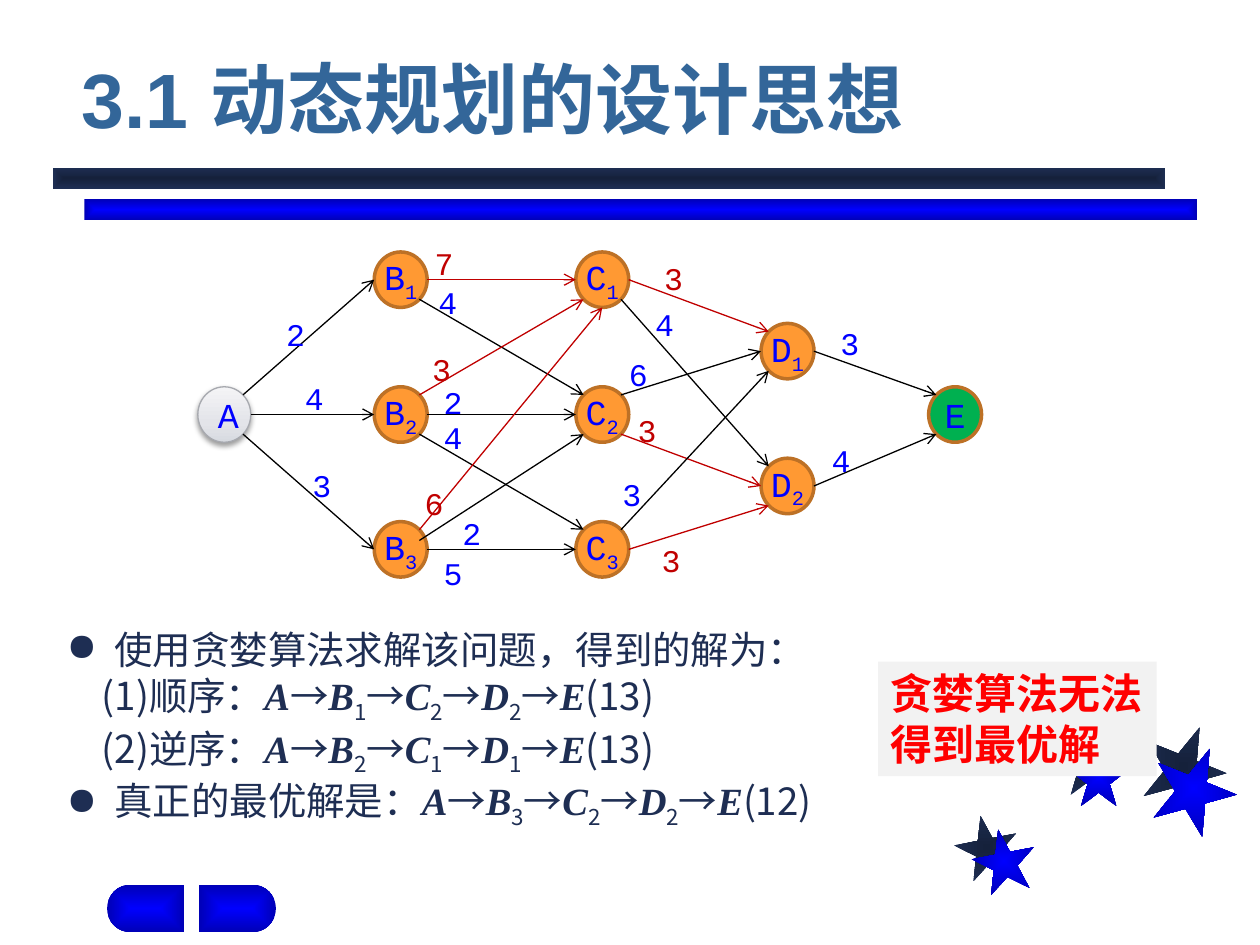
from dataclasses import dataclass
from math import cos, pi, sin

from lxml.etree import SubElement
from pptx import Presentation
from pptx.dml.color import RGBColor
from pptx.enum.shapes import MSO_CONNECTOR, MSO_SHAPE
from pptx.enum.text import MSO_ANCHOR, PP_ALIGN
from pptx.oxml.ns import qn
from pptx.util import Inches, Pt

COLORS = {
    "title": "336699", "ink": "1E2E53", "ink_dark": "15213B",
    "blue": "0000FF", "blue_dark": "0000B6", "orange": "FF9933",
    "rim": "BD7126", "green": "00B050", "red": "C00000", "black": "000000",
    "alert": "FF0000", "panel": "F2F2F2", "gray_rim": "A7A9AF",
    "gray_low": "D7DAE0", "gray_middle": "E3E4E9", "gray_high": "F4F4F6",
}
INK_STOPS = ((0, "ink_dark"), (100, "ink"))
BLUE_STOPS = ((0, "blue"), (100, "blue_dark"))
GRAY_STOPS = ((0, "gray_low"), (35, "gray_middle"), (100, "gray_high"))
HAN = "Noto Sans CJK SC"
SERIF = "Times New Roman"
MONO = "Courier New"

deck = Presentation()
deck.slide_width, deck.slide_height = Inches(10), Inches(7.5)
page = deck.slides.add_slide(deck.slide_layouts[6])
COLUMN = deck.slide_width / 100
ROW = deck.slide_height / 75

NODE_WIDTH, NODE_HEIGHT = 4.2, 4.4
GRAPH_TOP, GRAPH_STEP = 22.2, 10.7
STAGES = {"A": 17.8, "B": 31.8, "C": 47.8, "D": 62.5, "E": 75.8}
DIAGONAL = cos(pi / 4)
PORTS = {
    "E": (1, 0), "W": (-1, 0), "S": (0, 1),
    "NE": (DIAGONAL, -DIAGONAL), "SE": (DIAGONAL, DIAGONAL),
    "NW": (-DIAGONAL, -DIAGONAL), "SW": (-DIAGONAL, DIAGONAL),
    "ENE": (DIAGONAL, -0.32),
}


@dataclass
class Node:
    stage: str
    number: str
    level: float
    fill: str = "orange"

    def port(self, side: str) -> tuple[float, float]:
        across, down = PORTS[side]
        return (STAGES[self.stage] + across * NODE_WIDTH / 2,
                GRAPH_TOP + self.level * GRAPH_STEP + down * NODE_HEIGHT / 2)


@dataclass
class Edge:
    start: str
    leave: str
    end: str
    enter: str
    weight: str
    label: tuple[float, float]
    color: str = "black"


@dataclass
class Star:
    left: float
    top: float
    size: float
    turn: float
    stops: tuple


@dataclass
class Line:
    lead: str
    route: str = ""
    cost: str = ""
    bullet: bool = False


def rgb(name: str) -> RGBColor:
    return RGBColor.from_string(COLORS[name])


def place(left: float, top: float, width: float, height: float) -> tuple:
    return (round(left * COLUMN), round(top * ROW),
            round(width * COLUMN), round(height * ROW))


def child(parent, tag: str, **values):
    return SubElement(parent, qn(tag), {key: str(value) for key, value in values.items()})


def fill_gradient(shape, stops: tuple, kind: str = "") -> None:
    shape.fill.background()
    properties = shape._element.spPr
    gradient = child(properties, "a:gradFill", rotWithShape=1)
    stop_list = child(gradient, "a:gsLst")
    for position, color in stops:
        stop = child(stop_list, "a:gs", pos=position * 1000)
        child(stop, "a:srgbClr", val=COLORS[color])
    if kind:
        center = child(gradient, "a:path", path=kind)
        child(center, "a:fillToRect", l=50000, t=50000, r=50000, b=50000)
    else:
        child(gradient, "a:lin", ang=270 * 60000, scaled=0)
    properties.replace(properties.find(qn("a:noFill")), gradient)


def add_shape(kind, left: float, top: float, width: float, height: float):
    shape = page.shapes.add_shape(kind, *place(left, top, width, height))
    shape.shadow.inherit = False
    shape.line.fill.background()
    return shape


def add_span(para, text: str, color: str, face: str, size: float, baseline: int = 0, **style):
    span = para.add_run()
    span.text = text
    for name, value in {"name": face, "size": Pt(size), **style}.items():
        setattr(span.font, name, value)
    span.font.color.rgb = rgb(color)
    properties = span.font._element
    child(properties, "a:ea", typeface=HAN)
    if baseline:
        properties.set("baseline", str(baseline * 1000))


def set_frame(shape, inset: tuple = (0.1, 0.05), **style):
    frame = shape.text_frame
    across, down = (Inches(value) for value in inset)
    values = {"margin_left": across, "margin_right": across, "margin_top": down,
              "margin_bottom": down, "word_wrap": True, **style}
    for name, value in values.items():
        setattr(frame, name, value)
    return frame


def add_text_box(area: tuple, **style):
    return set_frame(page.shapes.add_textbox(*place(*area)), **style)


def draw_star(star: Star) -> None:
    shape = add_shape(MSO_SHAPE.STAR_5_POINT, star.left, star.top, star.size, star.size)
    shape.rotation = star.turn
    fill_gradient(shape, star.stops, "shape")


def draw_half_pill(flat: float, direction: int) -> None:
    top, radius, length = 70.2, 1.9, 6.1
    arc_center = flat + direction * (length - radius)
    angles = [-pi / 2 + pi * step / 16 for step in range(17)]
    points = [(arc_center + direction * radius * cos(angle), top + radius + radius * sin(angle))
              for angle in angles] + [(flat, top + 2 * radius)]
    outline = page.shapes.build_freeform(round(flat * COLUMN), round(top * ROW))
    outline.add_line_segments([(round(x * COLUMN), round(y * ROW)) for x, y in points])
    shape = outline.convert_to_shape()
    shape.shadow.inherit = False
    shape.line.fill.background()
    fill_gradient(shape, BLUE_STOPS, "rect")


def draw_node(node: Node) -> None:
    left, top = node.port("W")[0], node.port("S")[1] - NODE_HEIGHT
    shape = add_shape(MSO_SHAPE.OVAL, left, top, NODE_WIDTH, NODE_HEIGHT)
    is_source = node.fill == "gray"
    shape.line.color.rgb = rgb("gray_rim" if is_source else "rim")
    shape.line.width = Pt(0.75 if is_source else 2)
    if is_source:
        fill_gradient(shape, GRAY_STOPS)
        effects = shape._element.spPr.find(qn("a:effectLst"))
        shadow = child(effects, "a:outerShdw", blurRad=Pt(3.1), dist=Pt(1.6),
                       dir=90 * 60000, rotWithShape=0)
        child(child(shadow, "a:srgbClr", val=COLORS["black"]), "a:alpha", val=38000)
    else:
        shape.fill.solid()
        shape.fill.fore_color.rgb = rgb(node.fill)
    frame = set_frame(shape, (0.1 if is_source else 0, 0.05), vertical_anchor=MSO_ANCHOR.MIDDLE)
    para = frame.paragraphs[0]
    para.alignment = PP_ALIGN.CENTER
    add_span(para, node.stage, "blue", MONO, 20)
    if node.number:
        add_span(para, node.number, "blue", MONO, 20, -25)


def draw_edge(edge: Edge, nodes: dict[str, Node]) -> None:
    ends = (*nodes[edge.start].port(edge.leave), *nodes[edge.end].port(edge.enter))
    arrow = page.shapes.add_connector(MSO_CONNECTOR.STRAIGHT, *place(*ends))
    arrow.line.color.rgb = rgb(edge.color)
    arrow.line.width = Pt(0.75)
    child(arrow.line._get_or_add_ln(), "a:tailEnd", type="arrow")
    child(arrow._element.spPr, "a:effectLst")
    frame = add_text_box((*edge.label, 2.1, 3), inset=(0, 0))
    add_span(frame.paragraphs[0], edge.weight,
             "red" if edge.color == "red" else "blue", MONO, 18)


def write_line(para, line: Line) -> None:
    para.line_spacing = Pt(30)
    properties = para._p.get_or_add_pPr()
    properties.set("marL", str(Inches(0.38 if line.bullet else 0.28)))
    properties.set("indent", str(Inches(-0.38 if line.bullet else 0)))
    if line.bullet:
        child(properties, "a:buChar", char="●")
    add_span(para, line.lead, "ink", HAN, 22)
    for symbol in line.route:
        if symbol.isalpha():
            add_span(para, symbol, "ink", SERIF, 22, bold=True, italic=True)
        else:
            add_span(para, symbol, "ink", HAN, 22, -25 if symbol.isdigit() else 0)
    if line.cost:
        add_span(para, line.cost, "ink", HAN, 22)


STARS = [
    Star(75.8, 64.7, 5, 349, INK_STOPS), Star(84.1, 58.5, 4.6, 0, INK_STOPS),
    Star(90.6, 57.5, 6.7, 22, INK_STOPS), Star(77.2, 65.8, 5, 349, BLUE_STOPS),
    Star(84.9, 59.4, 4.6, 0, BLUE_STOPS), Star(91.4, 59.2, 6.7, 22, BLUE_STOPS),
]
NODES = [
    Node("A", "", 1, "gray"),
    *(Node(stage, str(level + 1), level) for stage in "BC" for level in range(3)),
    *(Node("D", str(level + 1), level + 0.53) for level in range(2)),
    Node("E", "", 1, "green"),
]
EDGES = [
    Edge("A", "NE", "B1", "W", "2", (22.7, 25)),
    Edge("A", "E", "B2", "W", "4", (24.2, 30.1)),
    Edge("A", "SE", "B3", "W", "3", (24.8, 37)),
    Edge("B1", "E", "C1", "W", "7", (34.5, 19.4), "red"),
    Edge("B1", "SE", "C2", "NW", "4", (34.8, 22.5)),
    Edge("B2", "NE", "C1", "SW", "3", (34.3, 27.8), "red"),
    Edge("B2", "E", "C2", "W", "2", (35.2, 30.4)),
    Edge("B2", "SE", "C3", "NW", "4", (35.2, 33.2)),
    Edge("B3", "NE", "C1", "S", "6", (33.7, 38.4), "red"),
    Edge("B3", "ENE", "C2", "SW", "2", (36.7, 40.8)),
    Edge("B3", "E", "C3", "W", "5", (35.2, 44)),
    Edge("C1", "E", "D1", "NW", "3", (52.7, 20.6), "red"),
    Edge("C1", "SE", "D2", "NW", "4", (52, 24.2)),
    Edge("C2", "NE", "D1", "W", "6", (49.9, 28.2)),
    Edge("C2", "SE", "D2", "W", "3", (50.6, 32.6), "red"),
    Edge("C3", "NE", "D1", "SW", "3", (49.4, 37.7)),
    Edge("C3", "E", "D2", "SW", "3", (52.5, 42.9), "red"),
    Edge("D1", "E", "E", "NW", "3", (66.7, 25.7)),
    Edge("D2", "E", "E", "SW", "4", (66, 35)),
]
LINES = [
    Line("使用贪婪算法求解该问题，得到的解为：", bullet=True),
    Line("(1)顺序：", "A→B1→C2→D2→E", "(13)"),
    Line("(2)逆序：", "A→B2→C1→D1→E", "(13)"),
    Line("真正的最优解是：", "A→B3→C2→D2→E", "(12)", True),
]

for star in STARS:
    draw_star(star)
for left, top, stops in ((6.7, 15.8, BLUE_STOPS), (4.2, 13.3, INK_STOPS)):
    fill_gradient(add_shape(MSO_SHAPE.RECTANGLE, left, top, 88.3, 1.7), stops, "shape")
for flat, direction in ((14.6, -1), (15.8, 1)):
    draw_half_pill(flat, direction)

title = add_text_box((5.5, 2.7, 85, 9.2), vertical_anchor=MSO_ANCHOR.BOTTOM)
add_span(title.paragraphs[0], "3.1 动态规划的设计思想", "title", "Arial", 44, bold=True)

for node in NODES:
    draw_node(node)
nodes_by_name = {node.stage + node.number: node for node in NODES}
for edge in EDGES:
    draw_edge(edge, nodes_by_name)

body = add_text_box((4.3, 48.7, 65.4, 17.8))
for index, line in enumerate(LINES):
    write_line(body.add_paragraph() if index else body.paragraphs[0], line)

panel = add_shape(MSO_SHAPE.RECTANGLE, 69.7, 52.5, 22.1, 9.1)
panel.fill.solid()
panel.fill.fore_color.rgb = rgb("panel")
verdict = set_frame(panel, word_wrap=False, vertical_anchor=MSO_ANCHOR.TOP)
for index, text in enumerate(("贪婪算法无法", "得到最优解")):
    para = verdict.add_paragraph() if index else verdict.paragraphs[0]
    para.alignment = PP_ALIGN.LEFT
    add_span(para, text, "alert", HAN, 24, bold=True)

deck.save("out.pptx")
